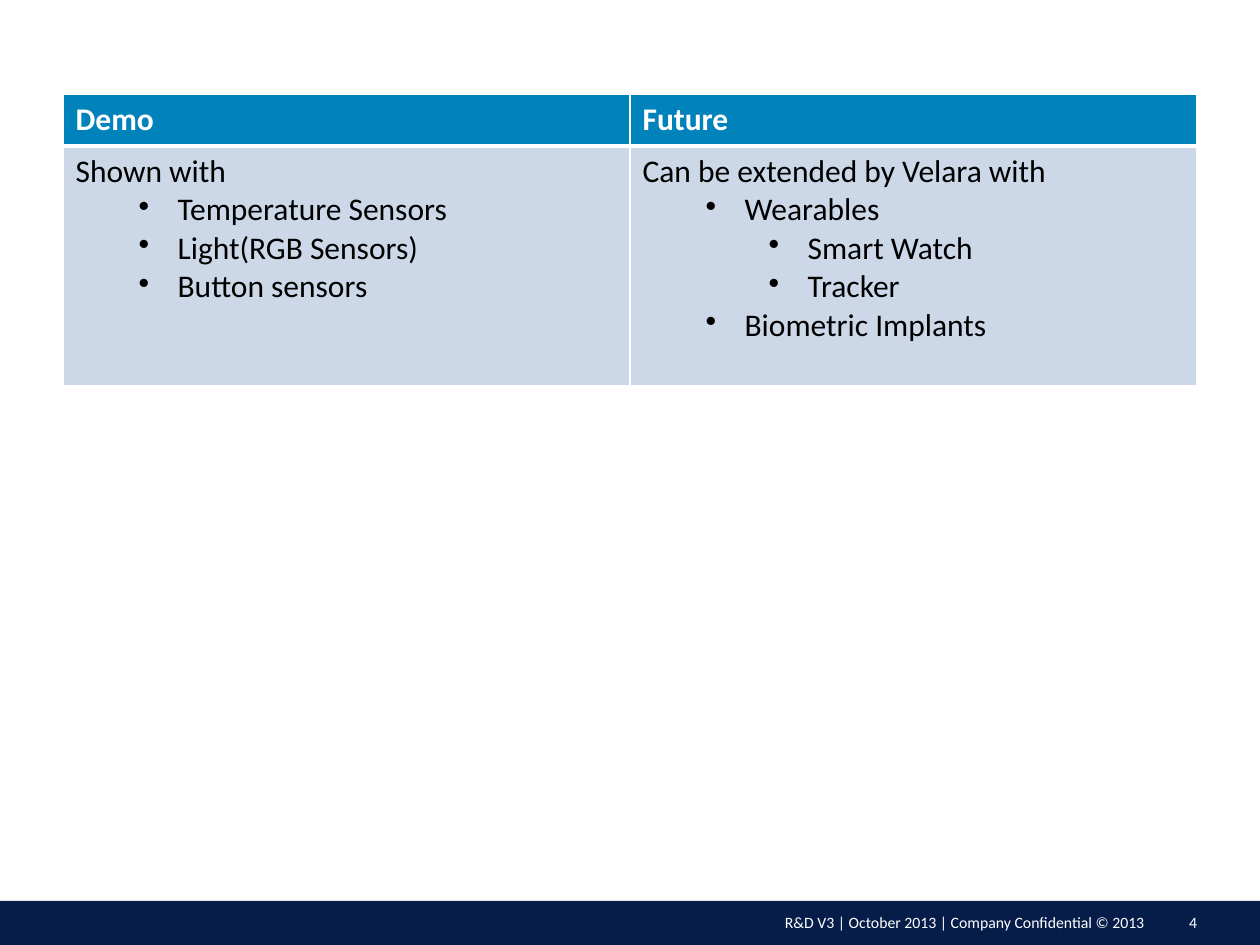
from dataclasses import dataclass

from lxml.etree import SubElement
from pptx import Presentation
from pptx.dml.color import RGBColor
from pptx.enum.shapes import MSO_SHAPE
from pptx.enum.text import MSO_ANCHOR, PP_ALIGN
from pptx.oxml.ns import qn
from pptx.slide import Slide
from pptx.table import _Cell
from pptx.text.text import _Paragraph
from pptx.util import Inches, Pt


@dataclass(frozen=True)
class Theme:
    font: str = "Calibri"
    navy: str = "071D49"
    blue: str = "0082BA"
    pale: str = "CCD8E7"
    white: str = "FFFFFF"
    black: str = "000000"
    table_size: int = 18
    footer_size: int = 9
    thin_line: int = 1
    thick_line: int = 3


@dataclass(frozen=True)
class Item:
    text: str
    level: int = 0


@dataclass(frozen=True)
class Column:
    heading: str
    items: tuple[Item, ...]


@dataclass(frozen=True)
class FooterText:
    text: str
    left: float
    width: float


THEME = Theme()
COLUMNS = (
    Column("Demo", (
        Item("Shown with"),
        Item("Temperature Sensors", 1),
        Item("Light(RGB Sensors)", 1),
        Item("Button sensors", 1),
    )),
    Column("Future", (
        Item("Can be extended by Velara with"),
        Item("Wearables", 1),
        Item("Smart Watch", 2),
        Item("Tracker", 2),
        Item("Biometric Implants", 1),
    )),
)
FOOTER_TEXTS = (
    FooterText("R&D V3 | October 2013 | Company Confidential © 2013", 3.08, 6),
    FooterText("4", 9.17, 0.33),
)
ROW_HEIGHTS = (0.41, 1.9)
COLUMN_WIDTH = 4.5


def add_span(para: _Paragraph, text: str, size: int, color: str, bold: bool = False) -> None:
    span = para.add_run()
    span.text = text
    span.font.name = THEME.font
    span.font.size = Pt(size)
    span.font.bold = bold
    span.font.color.rgb = RGBColor.from_string(color)


def add_bullet(para: _Paragraph, level: int) -> None:
    para.level = level
    properties = para._p.get_or_add_pPr()
    properties.set("marL", str(Inches(0.31 + 0.5 * level)))
    properties.set("indent", str(Inches(-0.31)))
    SubElement(properties, qn("a:buChar"), char="•")


def set_borders(cell: _Cell, top: int, bottom: int) -> None:
    """Draw white borders; call before the cell's fill is set."""
    widths = {"L": THEME.thin_line, "R": THEME.thin_line, "T": top, "B": bottom}
    properties = cell._tc.get_or_add_tcPr()
    for side, width in widths.items():
        line = SubElement(properties, qn(f"a:ln{side}"), w=str(Pt(width)))
        fill = SubElement(line, qn("a:solidFill"))
        SubElement(fill, qn("a:srgbClr"), val=THEME.white)


def fill_cell(cell: _Cell, items: tuple[Item, ...], header: bool) -> None:
    thin, thick = THEME.thin_line, THEME.thick_line
    set_borders(cell, thin if header else thick, thick if header else thin)
    cell.fill.solid()
    cell.fill.fore_color.rgb = RGBColor.from_string(THEME.blue if header else THEME.pale)
    color = THEME.white if header else THEME.black
    for index, item in enumerate(items):
        frame = cell.text_frame
        para = frame.add_paragraph() if index else frame.paragraphs[0]
        if item.level:
            add_bullet(para, item.level)
        add_span(para, item.text, THEME.table_size, color, header)


def add_comparison(page: Slide) -> None:
    table = page.shapes.add_table(
        len(ROW_HEIGHTS), len(COLUMNS), Inches(0.5), Inches(0.75),
        Inches(COLUMN_WIDTH * len(COLUMNS)), Inches(sum(ROW_HEIGHTS)),
    ).table
    for row, height in zip(table.rows, ROW_HEIGHTS):
        row.height = Inches(height)
    for index, column in enumerate(COLUMNS):
        table.columns[index].width = Inches(COLUMN_WIDTH)
        fill_cell(table.cell(0, index), (Item(column.heading),), header=True)
        fill_cell(table.cell(1, index), column.items, header=False)


def add_footer(page: Slide) -> None:
    band = page.shapes.add_shape(
        MSO_SHAPE.RECTANGLE, 0, Inches(7.15), Inches(10), Inches(0.35))
    band.shadow.inherit = False
    band.fill.solid()
    band.fill.fore_color.rgb = RGBColor.from_string(THEME.navy)
    band.line.fill.background()
    for entry in FOOTER_TEXTS:
        box = page.shapes.add_textbox(
            Inches(entry.left), Inches(7.22), Inches(entry.width), Inches(0.2))
        frame = box.text_frame
        frame.word_wrap = True
        frame.vertical_anchor = MSO_ANCHOR.MIDDLE
        frame.margin_left = frame.margin_right = 0
        frame.margin_top = frame.margin_bottom = 0
        para = frame.paragraphs[0]
        para.alignment = PP_ALIGN.RIGHT
        add_span(para, entry.text, THEME.footer_size, THEME.white)


def main() -> None:
    deck = Presentation()
    deck.slide_width, deck.slide_height = Inches(10), Inches(7.5)
    page = deck.slides.add_slide(deck.slide_layouts[6])
    add_footer(page)
    add_comparison(page)
    deck.save("out.pptx")


if __name__ == "__main__":
    main()
